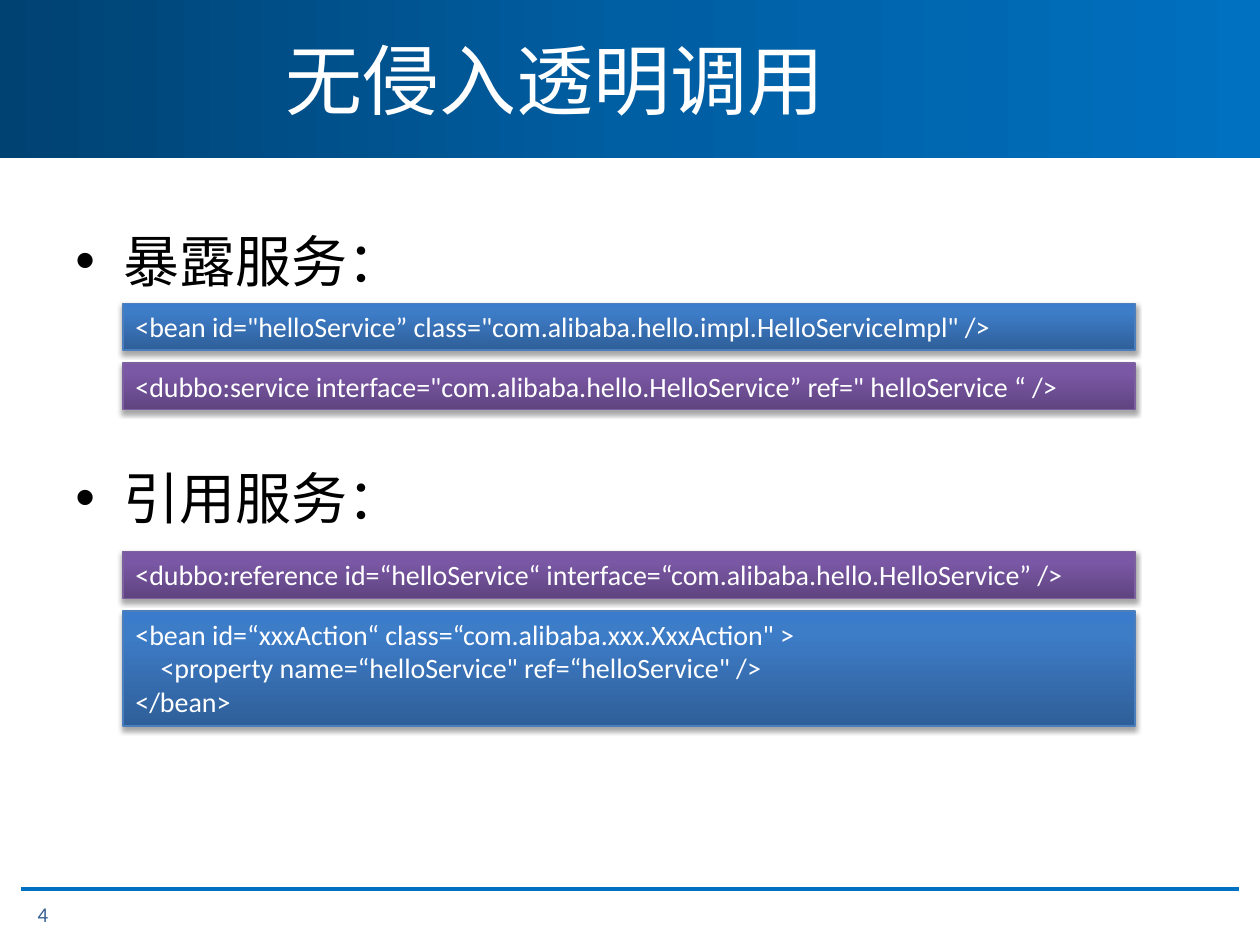
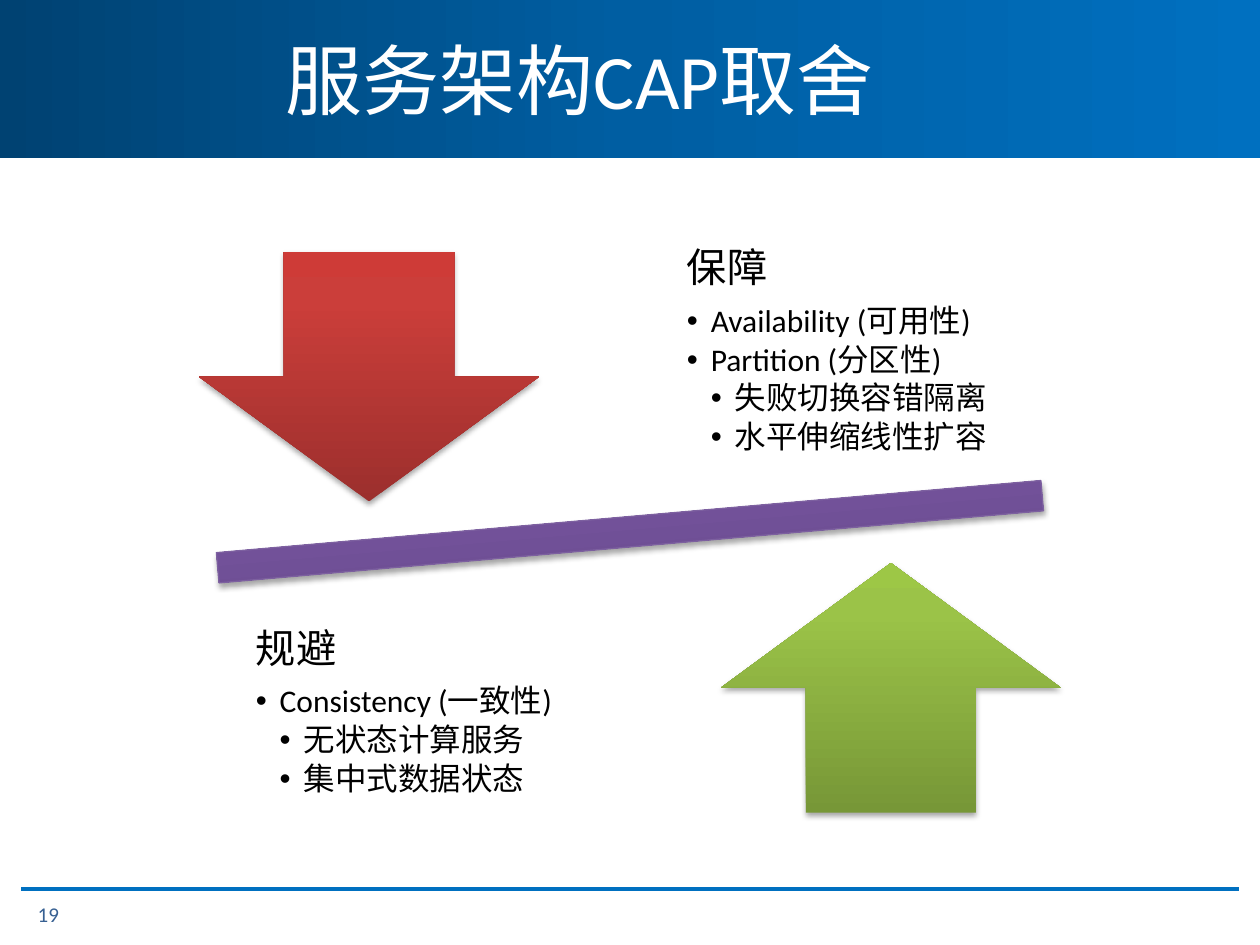
import copy

import pptx
import pptx.dml.color
import pptx.enum.shapes
import pptx.enum.text
import pptx.oxml
import pptx.oxml.ns
import pptx.util
from lxml import etree

Cm = pptx.util.Cm
Pt = pptx.util.Pt
RGBColor = pptx.dml.color.RGBColor
SHAPE = pptx.enum.shapes.MSO_SHAPE
ANCHOR = pptx.enum.text.MSO_ANCHOR
qn = pptx.oxml.ns.qn

FONT = "Calibri"
WHITE = RGBColor(0xFF, 0xFF, 0xFF)
BLACK = RGBColor(0x00, 0x00, 0x00)
RULE_BLUE = RGBColor(0x00, 0x70, 0xC0)
NUMBER_BLUE = RGBColor(0x37, 0x60, 0x92)
BLUE_EDGE = RGBColor(0x4B, 0x7E, 0xBC)
PURPLE_EDGE = RGBColor(0x7D, 0x60, 0xA0)
BAND = (RGBColor(0x00, 0x42, 0x72), RGBColor(0x00, 0x5E, 0xA2), RULE_BLUE)
BLUE = (RGBColor(0x2F, 0x5F, 0x99), RGBColor(0x3D, 0x7C, 0xC7), RGBColor(0x3A, 0x7C, 0xCB))
PURPLE = (RGBColor(0x5F, 0x44, 0x80), RGBColor(0x7B, 0x58, 0xA6), RGBColor(0x7C, 0x57, 0xA8))
RED = (RGBColor(0x9C, 0x2F, 0x2D), RGBColor(0xCB, 0x3E, 0x3A), RGBColor(0xCE, 0x3B, 0x37))
GREEN = (RGBColor(0x77, 0x97, 0x37), RGBColor(0x9B, 0xC3, 0x48), RGBColor(0x9D, 0xC7, 0x46))

PAGE_WIDTH, PAGE_HEIGHT = 25.4, 19.05
BAND_HEIGHT = 3.18
RULE_TOP, RULE_MARGIN = 17.93, 0.43
CODE_LINE, CODE_PADDING, CODE_GAP = 0.69, 0.25, 0.26
LIST_STEP = 0.48


def place(box):
    """Turn a box in centimetres into lengths."""
    return [Cm(length) for length in box]


def fill_gradient(shape, colours, middle, angle):
    """Fill a shape with a gradient of three stops."""
    shape.fill.gradient()
    shape.fill.gradient_angle = angle
    first_stop = shape._element.spPr.find(".//" + qn("a:gs"))
    first_stop.addnext(copy.deepcopy(first_stop))
    for stop, colour, position in zip(shape.fill.gradient_stops, colours, (0, middle, 1)):
        stop.color.rgb = colour
        stop.position = position


def add_soft_shadow(shape):
    """Give a shape a soft shadow straight below it."""
    effects = shape._element.spPr.find(qn("a:effectLst"))
    shadow = etree.SubElement(effects, qn("a:outerShdw"), blurRad="40000", dist="23000",
                              dir="5400000", rotWithShape="0")
    colour = etree.SubElement(shadow, qn("a:srgbClr"), val="000000")
    etree.SubElement(colour, qn("a:alpha"), val="35000")


def add_glossy_shape(page, kind, box, colours, edge=None):
    """Add a preset shape shaded from dark at the foot to light at the top."""
    shape = page.shapes.add_shape(kind, *place(box))
    shape.shadow.inherit = False
    add_soft_shadow(shape)
    fill_gradient(shape, colours, 0.8, 90)
    if edge is None:
        shape.line.fill.background()
    else:
        shape.line.color.rgb = edge
        shape.line.width = Pt(0.75)
    return shape


def add_text_box(page, box, anchor=ANCHOR.TOP):
    """Add a wrapping text box and return its frame."""
    frame = page.shapes.add_textbox(*place(box)).text_frame
    frame.word_wrap = True
    frame.vertical_anchor = anchor
    return frame


def set_bullet(para, indent, hang):
    """Give a paragraph a hanging round bullet."""
    properties = para._p.get_or_add_pPr()
    properties.set("marL", str(Cm(indent)))
    properties.set("indent", str(-Cm(hang)))
    etree.SubElement(properties, qn("a:buFont"), typeface="Arial")
    etree.SubElement(properties, qn("a:buChar"), char="•")


def set_font(para, size, colour):
    """Set the font of a whole paragraph."""
    para.font.name = FONT
    para.font.size = Pt(size)
    para.font.color.rgb = colour


def fill_lines(frame, lines):
    """Write one paragraph per line and return the paragraphs."""
    frame.text = "\n".join(lines)
    return frame.paragraphs


def add_frame(deck, title, number):
    """Add a page with the title band, the footer rule and the page number."""
    page = deck.slides.add_slide(deck.slide_layouts[6])
    band = page.shapes.add_shape(SHAPE.RECTANGLE, *place((0, 0, PAGE_WIDTH, BAND_HEIGHT)))
    band.shadow.inherit = False
    band.line.fill.background()
    fill_gradient(band, BAND, 0.5, 0)

    rule = page.shapes.add_connector(
        pptx.enum.shapes.MSO_CONNECTOR.STRAIGHT,
        *place((RULE_MARGIN, RULE_TOP, PAGE_WIDTH - RULE_MARGIN, RULE_TOP)))
    rule.line.color.rgb = RULE_BLUE
    rule.line.width = Pt(2.25)
    etree.SubElement(rule._element.spPr, qn("a:effectLst"))

    labels = (
        (title, (5.51, 0, 19.89, BAND_HEIGHT), 44, WHITE),
        (str(number), (0.51, 17.91, 2.79, 1.02), 12, NUMBER_BLUE),
    )
    for text, box, size, colour in labels:
        frame = add_text_box(page, box, ANCHOR.MIDDLE)
        frame.text = text
        set_font(frame.paragraphs[0], size, colour)
    return page


def add_headings(page, box, headings):
    """Add the bulleted headings that stand above the code."""
    for index, para in enumerate(fill_lines(add_text_box(page, box), headings)):
        if index:
            para.space_before = Pt(97)
        set_bullet(para, 0.97, 0.97)
        set_font(para, 32, BLACK)


def add_code_stack(page, box, snippets):
    """Stack code bars downwards from the top of a box (left, top, width)."""
    left, top, width = box
    for lines, colours, edge in snippets:
        height = CODE_PADDING + CODE_LINE * len(lines)
        bar = add_glossy_shape(page, SHAPE.RECTANGLE, (left, top, width, height), colours, edge)
        frame = bar.text_frame
        frame.vertical_anchor = ANCHOR.TOP
        frame.auto_size = pptx.enum.text.MSO_AUTO_SIZE.SHAPE_TO_FIT_TEXT
        for para in fill_lines(frame, lines):
            para.alignment = pptx.enum.text.PP_ALIGN.LEFT
            set_font(para, 16, WHITE)
        top += height + CODE_GAP


def add_choice(page, box, heading, items):
    """Add a heading with items of (level, text) below it."""
    frame = add_text_box(page, box, ANCHOR.MIDDLE)
    frame.margin_left = frame.margin_right = Cm(0.46)
    frame.margin_top = frame.margin_bottom = Cm(0.46)
    entries = [(0, heading), *items]
    paras = fill_lines(frame, [text for _, text in entries])
    for para, (level, _) in zip(paras, entries):
        para.level = level
        para.line_spacing = 0.9
        para.space_after = Pt(2.7 if level else 8)
        if level:
            set_bullet(para, LIST_STEP * level, LIST_STEP)
        set_font(para, 18 if level else 23, BLACK)


def build_transparent_call(deck):
    """Build the page on exposing and referring to services."""
    page = add_frame(deck, "无侵入透明调用", 4)
    add_headings(page, (1.27, 4.45, 22.86, 12.57), ("暴露服务：", "引用服务："))
    add_code_stack(page, (2.48, 6.12, 20.4), (
        (('<bean id="helloService” class="com.alibaba.hello.impl.HelloServiceImpl" />',),
         BLUE, BLUE_EDGE),
        (('<dubbo:service interface="com.alibaba.hello.HelloService” ref=" helloService “ />',),
         PURPLE, PURPLE_EDGE),
    ))
    add_code_stack(page, (2.48, 11.12, 20.4), (
        (("<dubbo:reference id=“helloService“ interface=“com.alibaba.hello.HelloService” />",),
         PURPLE, PURPLE_EDGE),
        (('<bean id=“xxxAction“ class=“com.alibaba.xxx.XxxAction" >',
          '    <property name=“helloService" ref=“helloService" />',
          "</bean>"),
         BLUE, BLUE_EDGE),
    ))


def build_cap_balance(deck):
    """Build the page that weighs the CAP properties on a seesaw."""
    page = add_frame(deck, "服务架构CAP取舍", 19)
    beam = add_glossy_shape(page, SHAPE.MATH_MINUS, (1.35, 9.42, 22.7, 2.6), PURPLE, PURPLE_EDGE)
    beam.rotation = 355
    add_glossy_shape(page, SHAPE.DOWN_ARROW, (4.01, 5.08, 6.86, 5.03), RED)
    add_choice(page, (13.39, 4.45, 7.32, 5.28), "保障", (
        (1, "Availability (可用性)"),
        (1, "Partition (分区性)"),
        (2, "失败切换容错隔离"),
        (2, "水平伸缩线性扩容"),
    ))
    add_glossy_shape(page, SHAPE.UP_ARROW, (14.53, 11.35, 6.86, 5.03), GREEN)
    add_choice(page, (4.7, 11.73, 7.32, 5.28), "规避", (
        (1, "Consistency (一致性)"),
        (2, "无状态计算服务"),
        (2, "集中式数据状态"),
    ))


def main():
    """Build and save the deck."""
    deck = pptx.Presentation()
    deck.slide_width, deck.slide_height = place((PAGE_WIDTH, PAGE_HEIGHT))
    build_transparent_call(deck)
    build_cap_balance(deck)
    deck.save("out.pptx")


if __name__ == "__main__":
    main()
